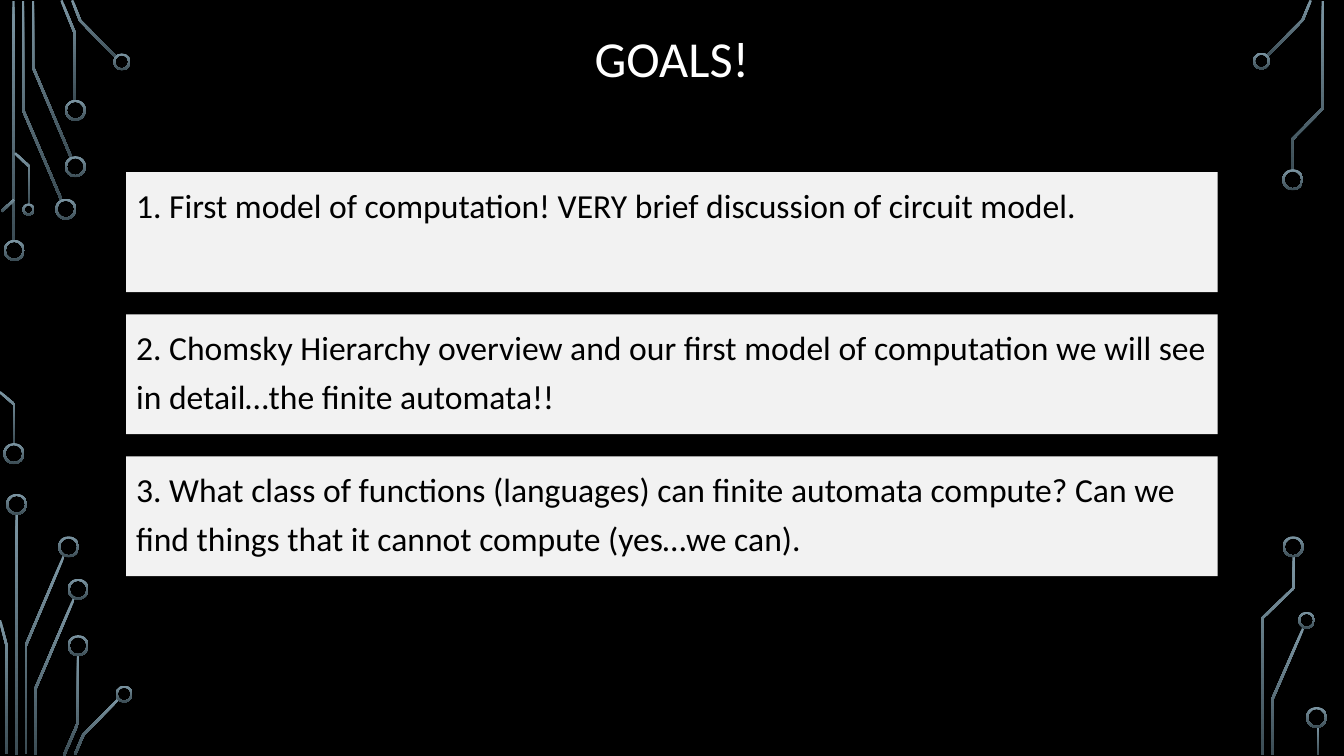
from math import hypot

from pptx import Presentation
from pptx import util as u
from pptx.dml.color import RGBColor
from pptx.enum import shapes, text

BLACK = RGBColor(0x00, 0x00, 0x00)
WHITE = RGBColor(0xFF, 0xFF, 0xFF)
CARD_GREY = RGBColor(0xF2, 0xF2, 0xF2)
TRACE_LIGHT = RGBColor(0x7C, 0x96, 0xA3)
TRACE_DARK = RGBColor(0x3B, 0x4C, 0x54)

FONT = "Calibri"
TRACE_WIDTH = 0.06
RING_WIDTH = 0.05
BIG, MEDIUM, SMALL = 0.53, 0.43, 0.31  # ring diameters in cm

GOALS = [
    "1. First model of computation! VERY brief discussion of circuit model.",
    "2. Chomsky Hierarchy overview and our first model of computation we will see "
    "in detail…the finite automata!!",
    "3. What class of functions (languages) can finite automata compute? "
    "Can we find things that it cannot compute (yes…we can).",
]

# Circuit corners, in cm: (left, top), trace centre lines, rings (x, y, diameter)
CIRCUITS = [
    ((0, 0), [  # top left
        [(0.34, 0.03), (0.34, 6.1)],
        [(0.58, 0.03), (0.58, 2.77), (1.55, 5.04)],
        [(0.83, 0.03), (0.83, 1.69), (1.8, 3.98)],
        [(1.55, 0.01), (1.89, 0.84), (1.89, 2.54)],
        [(1.82, 0.01), (2.02, 0.52), (2.93, 1.45)],
        [(0.04, 5.33), (0.36, 5.03)],
        [(0.38, 3.86), (0.74, 4.2), (0.74, 5.16)],
        [(0, 9.88), (0.36, 10.19), (0.36, 11.2)],
    ], [
        (0.36, 6.31, BIG), (0.35, 11.43, BIG), (1.66, 5.27, BIG), (1.9, 4.2, BIG),
        (1.9, 2.78, BIG), (3.07, 1.56, MEDIUM), (0.72, 5.28, SMALL),
    ]),
    ((0, 12), [  # bottom left
        [(0.42, 0.95), (0.42, 7.02)],
        [(0.65, 7), (0.65, 4.27), (1.61, 2.01)],
        [(0.17, 7), (0.17, 4.28), (0, 3.63)],
        [(0.9, 7.02), (0.9, 5.34), (1.87, 3.07)],
        [(1.61, 7.04), (1.97, 6.21), (1.97, 4.51)],
        [(1.89, 7.01), (2.1, 6.52), (3, 5.6)],
    ], [
        (0.42, 0.71, BIG), (1.73, 1.78, BIG), (1.97, 2.85, BIG),
        (1.97, 4.27, BIG), (3.13, 5.49, MEDIUM),
    ]),
    ((31, 0), [  # top right
        [(0.93, 1.41), (1.83, 0.5), (2.03, 0.01)],
        [(1.56, 4.29), (1.56, 3.52), (2.34, 2.73), (2.34, 0.03)],
    ], [(0.79, 1.54, MEDIUM), (1.58, 4.53, BIG)]),
    ((31, 12), [  # bottom right
        [(1.07, 7.02), (1.07, 5.61), (1.84, 3.84)],
        [(0.81, 7.02), (0.81, 3.58), (1.6, 2.82), (1.6, 2.02)],
        [(2.21, 7.02), (2.21, 6.31)],
    ], [(1.93, 3.63, MEDIUM), (1.59, 1.78, BIG), (2.18, 6.08, BIG)]),
]


def style_circuit(sp):
    sp.shadow.inherit = False
    sp.line.fill.background()
    sp.fill.gradient()
    sp.fill.gradient_angle = 270
    for stop, color, position in zip(sp.fill.gradient_stops,
                                     (TRACE_LIGHT, TRACE_DARK), (0, 1)):
        stop.color.rgb = color
        stop.position = position


def band_outline(points, width):
    """Return the outline of a band with mitred bends around a centre line."""
    normals = []
    for (x1, y1), (x2, y2) in zip(points, points[1:]):
        length = hypot(x2 - x1, y2 - y1)
        normals.append(((y1 - y2) / length, (x2 - x1) / length))
    one_side, other_side = [], []
    for (x, y), (ax, ay), (bx, by) in zip(points, normals[:1] + normals,
                                          normals + normals[-1:]):
        k = width / 2 / (1 + ax * bx + ay * by)
        dx, dy = (ax + bx) * k, (ay + by) * k
        one_side.append((x + dx, y + dy))
        other_side.append((x - dx, y - dy))
    return one_side + other_side[::-1]


def add_circuit(slide, left, top, traces, rings):
    # Traces
    for points in traces:
        outline = [(u.Cm(left + x), u.Cm(top + y))
                   for x, y in band_outline(points, TRACE_WIDTH)]
        builder = slide.shapes.build_freeform(*outline[0], scale=1.0)
        builder.add_line_segments(outline[1:], close=True)
        style_circuit(builder.convert_to_shape())
    # Rings
    for x, y, size in rings:
        sp = slide.shapes.add_shape(
            shapes.MSO_SHAPE.DONUT, u.Cm(left + x - size / 2),
            u.Cm(top + y - size / 2), u.Cm(size), u.Cm(size))
        sp.adjustments[0] = RING_WIDTH / size
        style_circuit(sp)


def set_text(sp, words, size, color, align, anchor, spacing):
    tf = sp.text_frame
    tf.word_wrap = True
    tf.vertical_anchor = anchor
    p = tf.paragraphs[0]
    p.text = words
    p.alignment = align
    p.line_spacing = spacing
    p.font.name = FONT
    p.font.size = u.Pt(size)
    p.font.color.rgb = color
    return p


def add_title(slide, left, top, width, height):
    sp = slide.shapes.add_textbox(u.Cm(left), u.Cm(top), u.Cm(width), u.Cm(height))
    set_text(sp, "GOALS!", 36, WHITE, text.PP_ALIGN.CENTER,
             text.MSO_ANCHOR.MIDDLE, 0.9)


def add_goals(slide, left, top, width, height, gap=0.56):
    card_height = (height - gap * (len(GOALS) - 1)) / len(GOALS)
    for i, goal in enumerate(GOALS):
        sp = slide.shapes.add_shape(
            shapes.MSO_SHAPE.RECTANGLE, u.Cm(left),
            u.Cm(top + i * (card_height + gap)), u.Cm(width), u.Cm(card_height))
        sp.shadow.inherit = False
        sp.fill.solid()
        sp.fill.fore_color.rgb = CARD_GREY
        sp.line.fill.background()
        p = set_text(sp, goal, 24, BLACK, text.PP_ALIGN.LEFT,
                     text.MSO_ANCHOR.TOP, 1.2)
        p.space_before = u.Pt(10)


def main():
    prs = Presentation()
    prs.slide_width, prs.slide_height = u.Cm(33.87), u.Cm(19.05)
    slide = prs.slides.add_slide(prs.slide_layouts[6])
    slide.background.fill.solid()
    slide.background.fill.fore_color.rgb = BLACK

    for (left, top), traces, rings in CIRCUITS:
        add_circuit(slide, left, top, traces, rings)
    add_title(slide, 3.18, 0.36, 27.51, 2.39)
    add_goals(slide, 3.18, 4.34, 27.51, 10.18)

    prs.save("out.pptx")


if __name__ == "__main__":
    main()
